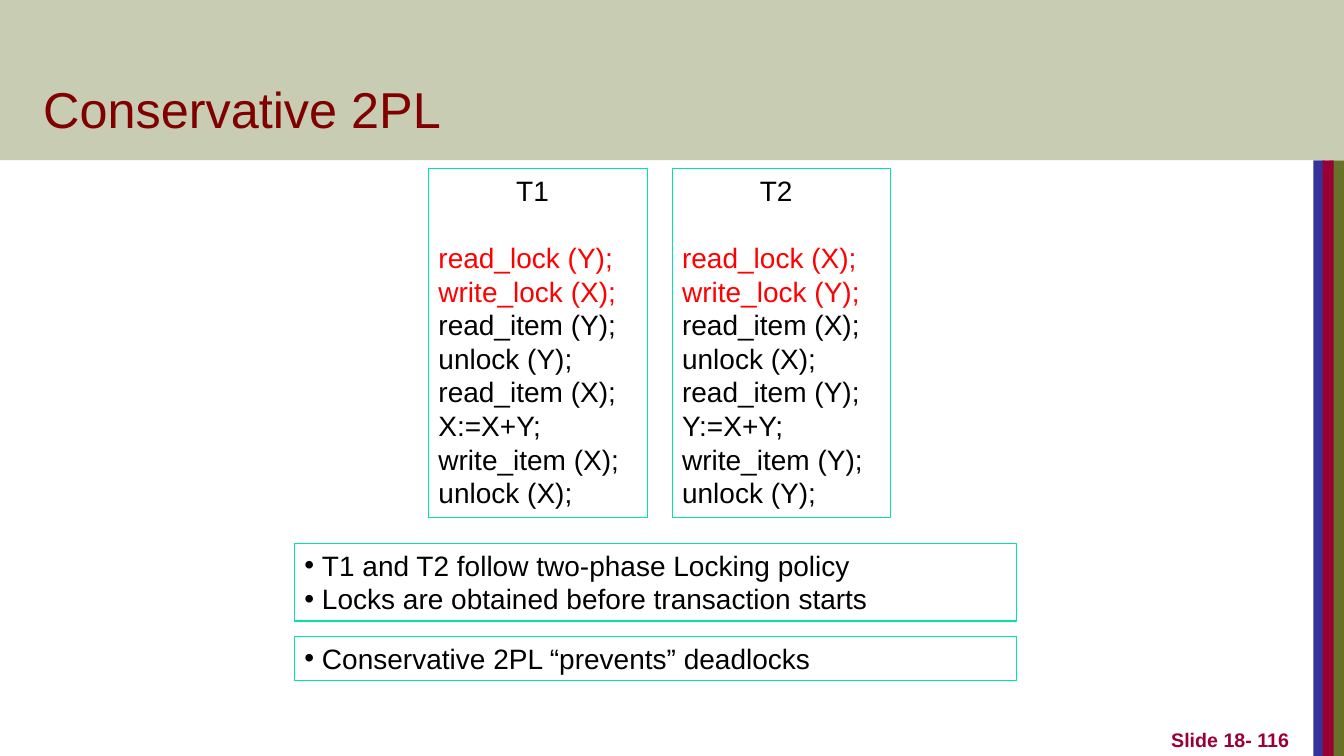
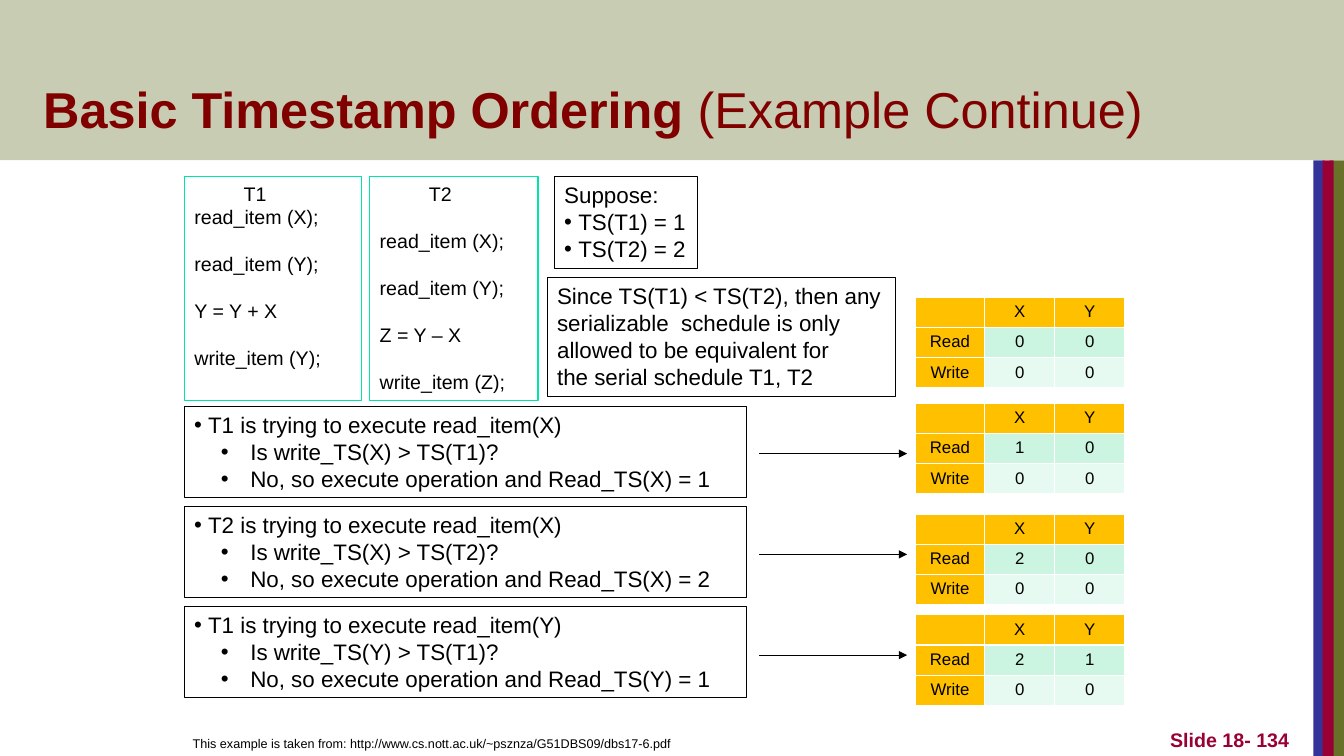
from lxml import etree
from pptx import Presentation
from pptx.dml.color import RGBColor
from pptx.enum import shapes, text
from pptx.oxml import ns
from pptx.util import Cm, Pt

BLACK = RGBColor(0x00, 0x00, 0x00)
RED = RGBColor(0xFF, 0x00, 0x00)
MAROON = RGBColor(0x80, 0x00, 0x00)
WINE = RGBColor(0x99, 0x00, 0x33)
BLUE = RGBColor(0x33, 0x33, 0x99)
OLIVE = RGBColor(0x67, 0x72, 0x28)
SAGE = RGBColor(0xC8, 0xCC, 0xB2)
TEAL = RGBColor(0x00, 0xE4, 0xA8)
GOLD = RGBColor(0xFF, 0xC0, 0x00)
MINT = RGBColor(0xCC, 0xF5, 0xE1)
PALE = RGBColor(0xE7, 0xFA, 0xF1)

FONT = "Arial"
WIDE, HIGH = 33.87, 19.05
BAND = 4.04
STRIPES = [(33.5, 0.38, OLIVE), (33.1, 0.28, BLUE), (33.33, 0.28, WINE)]


class Deck:
    def __init__(self):
        self.prs = Presentation()
        self.prs.slide_width, self.prs.slide_height = Cm(WIDE), Cm(HIGH)

    def page(self, title, number):
        """Start a slide; title is a list of (words, bold) pairs."""
        self.slide = self.prs.slides.add_slide(self.prs.slide_layouts[6])
        # Side stripes and title band
        for left, width, hue in STRIPES:
            self.rect((left, BAND, width, HIGH - BAND), fill=hue)
        self.rect((0, 0, WIDE, BAND), fill=SAGE)
        # Title and slide number
        par = self.label((0.84, 0.84, 28.88, 2.77), 36, MAROON)
        for words, bold in title:
            run = par.add_run()
            run.text, run.font.bold = words, bold
        par = self.label((25.68, 17.78, 7.06, 1.27), 14, WINE, f"Slide 18- {number}")
        par.alignment, par.font.bold = text.PP_ALIGN.RIGHT, True

    def style(self, par, size, hue=BLACK):
        par.font.name, par.font.size = FONT, Pt(size)
        par.font.color.rgb = hue

    def rect(self, box, fill=None, line=None):
        shape = self.slide.shapes.add_shape(shapes.MSO_SHAPE.RECTANGLE, *map(Cm, box))
        shape.shadow.inherit = False
        if fill is None:
            shape.fill.background()
        else:
            shape.fill.solid()
            shape.fill.fore_color.rgb = fill
        if line is None:
            shape.line.fill.background()
        else:
            shape.line.color.rgb, shape.line.width = line, Pt(0.75)
        return shape

    def label(self, box, size, hue, words=""):
        """Add one line of text that sits on the bottom of its box."""
        frame = self.slide.shapes.add_textbox(*map(Cm, box)).text_frame
        frame.word_wrap = True
        frame.vertical_anchor = text.MSO_ANCHOR.BOTTOM
        par = frame.paragraphs[0]
        par.text = words
        self.style(par, size, hue)
        return par

    def bullet(self, par, margin, hang):
        props = par._p.get_or_add_pPr()
        props.set("marL", str(int(margin)))
        props.set("indent", str(-int(hang)))
        etree.SubElement(props, ns.qn("a:buFont"), typeface=FONT)
        etree.SubElement(props, ns.qn("a:buChar"), char="•")

    def panel(self, box, size, lines, line=BLACK):
        """Framed text: '*' and '**' mark bullet levels, '' leaves a gap."""
        frame = self.rect(box, line=line).text_frame
        frame.word_wrap = True
        frame.vertical_anchor = text.MSO_ANCHOR.TOP
        pitch, gap, par = Pt(size * 1.2), 0, None
        for words in lines:
            if not words:
                gap += pitch
                continue
            par = frame.add_paragraph() if par is not None else frame.paragraphs[0]
            par.text = words.lstrip("*")
            par.alignment, par.line_spacing = text.PP_ALIGN.LEFT, pitch
            if gap:
                par.space_before, gap = gap, 0
            if words.startswith("**"):
                self.bullet(par, Cm(1.42), Cm(0.74))
            elif words.startswith("*"):
                self.bullet(par, Pt(size * 0.63), Pt(size * 0.63))
            self.style(par, size, RED if "_lock" in words else BLACK)
        return frame

    def code(self, box, size, inset, lines):
        """Transaction listing with its name pushed in from the left."""
        frame = self.panel(box, size, lines, TEAL)
        frame.paragraphs[0]._p.get_or_add_pPr().set("marL", str(Cm(inset)))

    def table(self, box, rows):
        table = self.slide.shapes.add_table(len(rows), len(rows[0]), *map(Cm, box)).table
        table.horz_banding = False
        for r, row in enumerate(rows):
            for c, words in enumerate(row):
                cell = table.cell(r, c)
                cell.fill.solid()
                cell.fill.fore_color.rgb = GOLD if r * c == 0 else (MINT, PALE)[r - 1]
                par = cell.text_frame.paragraphs[0]
                par.text, par.alignment = words, text.PP_ALIGN.CENTER
                self.style(par, 12)
                par.font.bold = False
                if not words:
                    etree.SubElement(par._p, ns.qn("a:endParaRPr"), sz="1200")

    def arrow(self, start, end, y):
        link = self.slide.shapes.add_connector(
            shapes.MSO_CONNECTOR.STRAIGHT, Cm(start), Cm(y), Cm(end), Cm(y))
        link.line.color.rgb, link.line.width = BLACK, Pt(0.75)
        etree.SubElement(link.line._get_or_add_ln(), ns.qn("a:tailEnd"), type="triangle")
        etree.SubElement(link._element.spPr, ns.qn("a:effectLst"))


def locking(deck):
    deck.page([("Conservative 2PL", False)], 116)
    # Two transactions, the same with X and Y swapped
    for left, name, a, b in [(10.8, "T1", "Y", "X"), (16.94, "T2", "X", "Y")]:
        deck.code((left, 4.24, 5.51, 8.81), 20, 1.96, [
            name, "", f"read_lock ({a});", f"write_lock ({b});",
            f"read_item ({a});", f"unlock ({a});", f"read_item ({b});",
            f"{b}:=X+Y; write_item ({b});", f"unlock ({b});"])
    # Remarks
    deck.panel((7.42, 13.69, 18.21, 1.96), 20, [
        "*T1 and T2 follow two-phase Locking policy",
        "*Locks are obtained before transaction starts"], TEAL)
    deck.panel((7.42, 16.03, 18.21, 1.12), 20,
               ["*Conservative 2PL “prevents” deadlocks"], TEAL)


def stamps(deck):
    deck.page([("Basic Timestamp Ordering", True), (" (Example Continue)", False)], 134)
    # Transactions
    deck.code((4.65, 4.45, 4.45, 5.64), 14, 1.24, [
        "T1", "read_item (X);", "", "read_item (Y);", "", "Y = Y + X", "",
        "write_item (Y);"])
    deck.code((9.32, 4.45, 4.24, 5.64), 14, 1.24, [
        "T2", "", "read_item (X);", "", "read_item (Y);", "", "Z = Y – X", "",
        "write_item (Z);"])
    # Assumptions
    deck.panel((13.97, 4.45, 3.61, 2.31), 16,
               ["Suppose:", "*TS(T1) = 1", "*TS(T2) = 2"])
    deck.panel((13.79, 6.99, 8.79, 3), 16, [
        "Since TS(T1) < TS(T2), then any", "serializable  schedule is only",
        "allowed to be equivalent for", "the serial schedule T1, T2"])
    # Steps, each with an arrow to its table
    for i, (name, item, stamp) in enumerate([("T1", "X", 1), ("T2", "X", 2), ("T1", "Y", 1)]):
        deck.panel((4.64, 10.24 + 2.52 * i, 14.17, 2.31), 16, [
            f"*{name} is trying to execute read_item({item})",
            f"**Is write_TS({item}) > TS({name})?",
            f"**No, so execute operation and Read_TS({item}) = {stamp}"])
        deck.arrow(19.13, 22.86, 11.43 + 2.54 * i)
    # Timestamp tables
    for top, reads in [(7.49, "00"), (10.16, "10"), (12.95, "20"), (15.49, "21")]:
        deck.table((23.06, top, 5.28, 2.29),
                   [["", "X", "Y"], ["Read", *reads], ["Write", "0", "0"]])
    # Source
    par = deck.label(
        (2.34, 17.78, 14.81, 1.27), 9, BLACK,
        "This example is taken from: http://www.cs.nott.ac.uk/~psznza/G51DBS09/dbs17-6.pdf")
    par.alignment = text.PP_ALIGN.RIGHT


def main():
    deck = Deck()
    locking(deck)
    stamps(deck)
    deck.prs.save("out.pptx")


if __name__ == "__main__":
    main()
